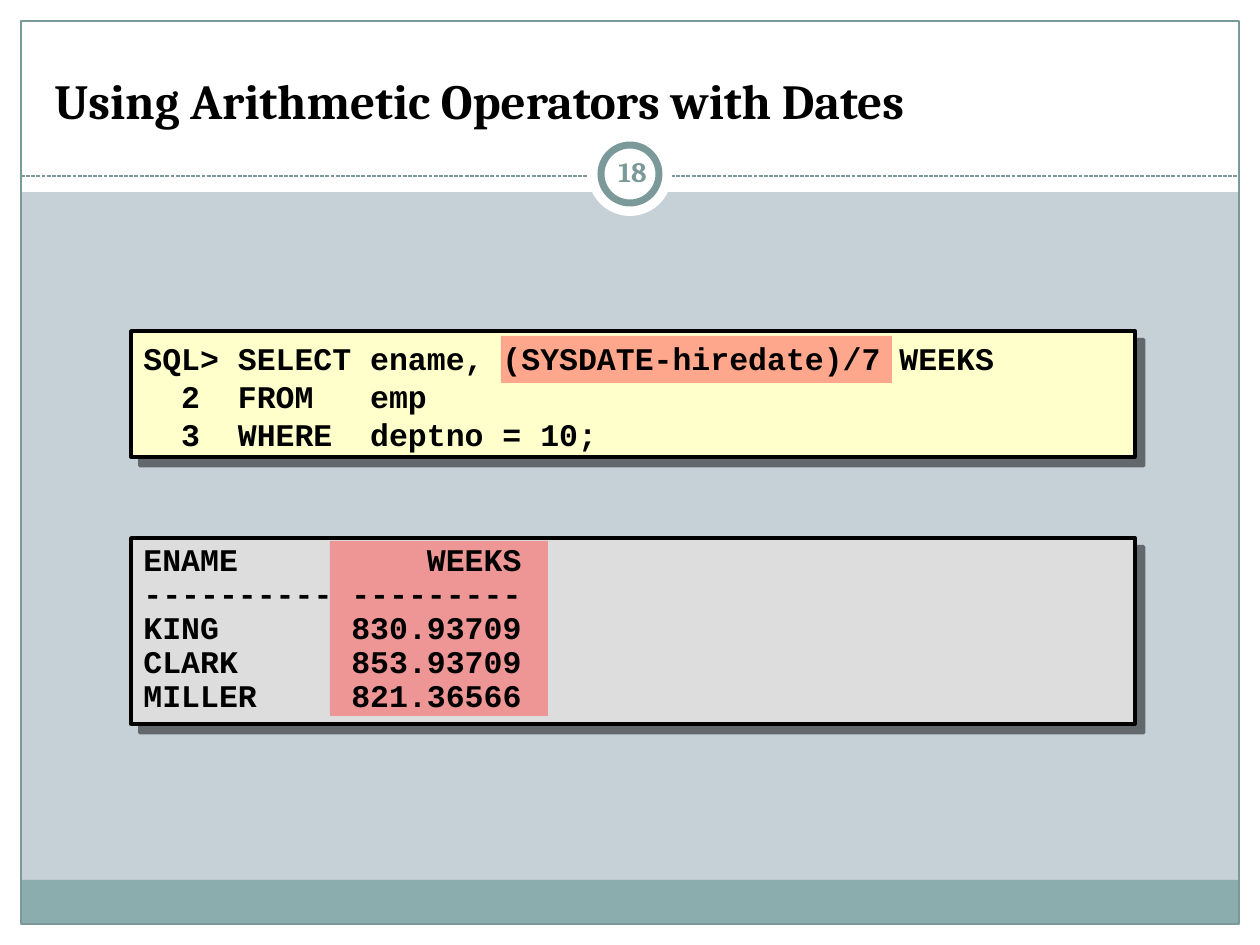
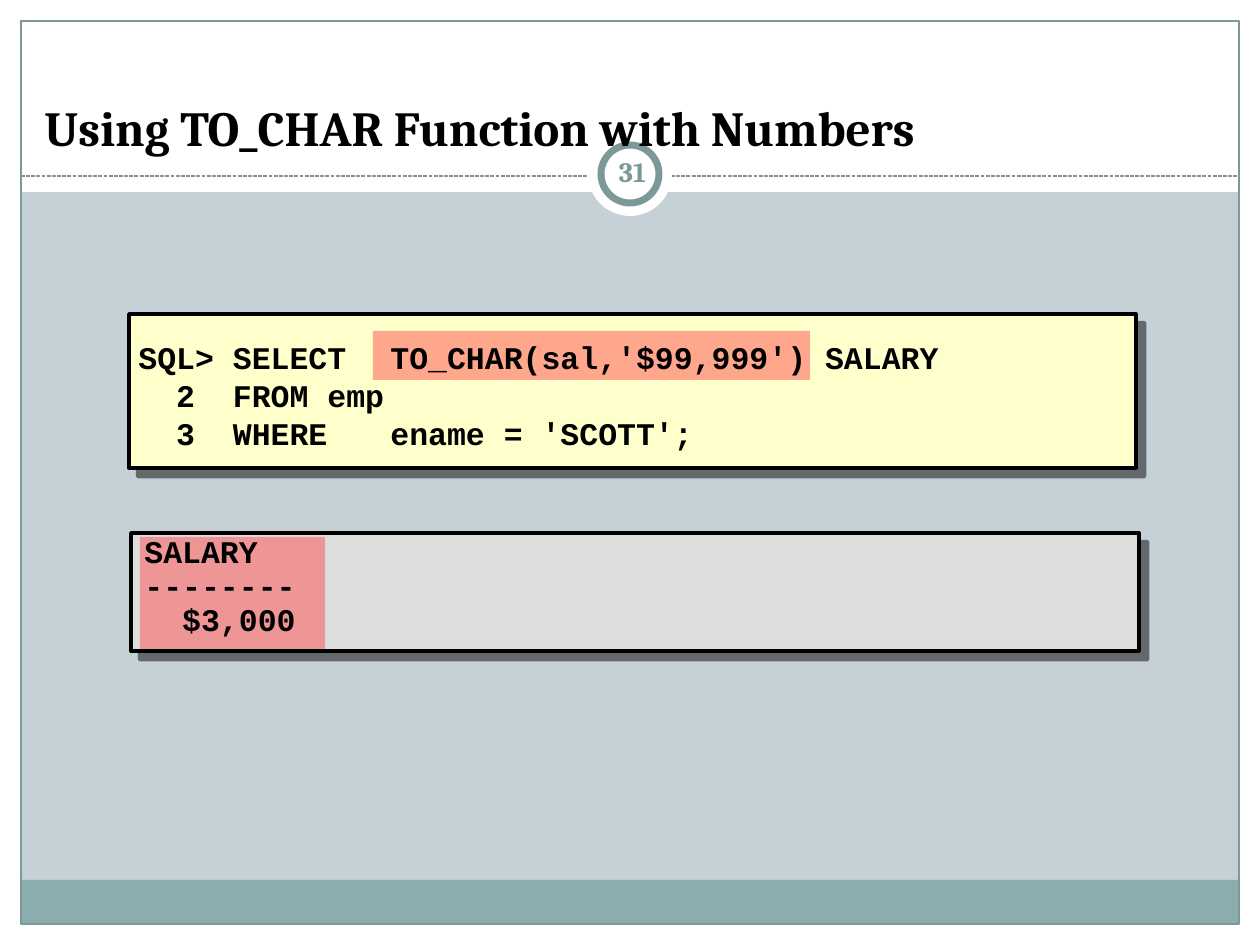
"""Build two SQL slides: a query and its result under a shared frame."""
from lxml.etree import SubElement as Sub
from pptx import Presentation
from pptx.dml.color import RGBColor
from pptx.enum.dml import MSO_LINE
from pptx.enum.shapes import MSO_CONNECTOR as Link, MSO_SHAPE as Kind
from pptx.enum.text import MSO_ANCHOR as Anchor, PP_ALIGN as Align
from pptx.oxml.ns import qn
from pptx.util import Pt

PX = 914400 // 126
WIDE, HIGH, EDGE = 1260, 945, 21
WHITE, BLACK, TEAL, BAND = "FFFFFF", "000000", "7C999A", "8CADAE"
BACK, CODE, ROWS, MARK = "C5D1D7", "FFFFCC", "DDDDDD", "FF5050"
SERIF, MONO = "Cambria", "Courier New"

SLIDES = [
    dict(
        title="Using Arithmetic Operators with Dates", page="18",
        head=(42, 32, 1176, 104),
        panels=[(131, 331, 1004, 126), (131, 538, 1004, 186)],
        marks=[(501, 336, 391, 47), (330, 541, 218, 175)],
        texts=[(131, 297, 1008, 198), (131, 538, 1004, 183)],
        query=["SQL> SELECT ename, (SYSDATE-hiredate)/7 WEEKS",
               "  2  FROM   emp",
               "  3  WHERE  deptno = 10;"],
        result=["ENAME          WEEKS",
                "---------- ---------",
                "KING       830.93709",
                "CLARK      853.93709",
                "MILLER     821.36566"]),
    dict(
        title="Using TO_CHAR Function with Numbers", page="31",
        head=(32, 42, 1065, 121),
        panels=[(129, 314, 1007, 154), (131, 533, 1008, 118)],
        marks=[(373, 331, 437, 49), (140, 537, 185, 112)],
        texts=[(126, 296, 1011, 198), (132, 530, 1000, 115)],
        query=["SQL> SELECT\tTO_CHAR(sal,'$99,999') SALARY",
               "  2  FROM\temp",
               "  3  WHERE\tename = 'SCOTT';"],
        result=["SALARY",
                "--------",
                "  $3,000"]),
]

BARS = [
    ((0, HIGH - EDGE, WIDE, EDGE), WHITE),
    ((0, 0, WIDE, 192), WHITE),
    ((0, 0, EDGE, HIGH), WHITE),
    ((WIDE - EDGE, 0, EDGE, HIGH), WHITE),
    ((EDGE, 880, WIDE - 2 * EDGE, 44), BAND),
]


def rgb(code):
    return RGBColor.from_string(code)


def emu(box):
    return [n * PX for n in box]


def shape(slide, box, fill=None, line=None, width=1, kind=Kind.RECTANGLE):
    item = slide.shapes.add_shape(kind, *emu(box))
    item.shadow.inherit = False
    if fill:
        item.fill.solid()
        item.fill.fore_color.rgb = rgb(fill)
    else:
        item.fill.background()
    if line:
        item.line.color.rgb = rgb(line)
        item.line.width = Pt(width)
    else:
        item.line.fill.background()
    return item


def fade(node):
    Sub(node, qn("a:alpha"), val="50000")


def panel(slide, box, fill):
    item = shape(slide, box, fill, BLACK, 2)
    fx = item._element.spPr.find(qn("a:effectLst"))
    drop = Sub(fx, qn("a:outerShdw"), dist=str(Pt(7.1)), dir="2700000",
               algn="ctr", rotWithShape="0")
    fade(Sub(drop, qn("a:srgbClr"), val=BLACK))


def mark(slide, box):
    item = shape(slide, box, MARK)
    fade(item._element.spPr.find(qn("a:solidFill"))[0])


def text(slide, box, lines, size, font, color=BLACK, anchor=Anchor.TOP,
         align=Align.LEFT, space=None, inset=None):
    frame = slide.shapes.add_textbox(*emu(box)).text_frame
    frame.word_wrap = True
    frame.vertical_anchor = anchor
    if inset is not None:
        frame.margin_left = frame.margin_right = inset * PX
    for i, line in enumerate(lines):
        para = frame.add_paragraph() if i else frame.paragraphs[0]
        para.alignment = align
        para.line_spacing = space
        run = para.add_run()
        run.text = line
        run.font.size, run.font.name, run.font.bold = Pt(size), font, True
        run.font.color.rgb = rgb(color)


def frame(slide):
    slide.background.fill.solid()
    slide.background.fill.fore_color.rgb = rgb(BACK)
    for box, fill in BARS:
        shape(slide, box, fill)
    shape(slide, (EDGE, EDGE, WIDE - 2 * EDGE, HIGH - 2 * EDGE), None, TEAL, 0.75)
    rule = slide.shapes.add_connector(
        Link.STRAIGHT, *emu((EDGE, 176, WIDE - EDGE, 176)))
    rule.line.color.rgb = rgb(TEAL)
    rule.line.width = Pt(0.75)
    rule.line.dash_style = MSO_LINE.SQUARE_DOT
    Sub(rule._element.spPr, qn("a:effectLst"))
    shape(slide, (588, 132, 84, 84), WHITE, kind=Kind.OVAL)
    shape(slide, (601, 145, 58, 58), WHITE, TEAL, 4, Kind.OVAL)


def build(slide, data):
    frame(slide)
    for box, fill in zip(data["panels"], (CODE, ROWS)):
        panel(slide, box, fill)
    text(slide, data["head"], [data["title"]], 28, SERIF, anchor=Anchor.BOTTOM)
    for box in data["marks"]:
        mark(slide, box)
    top, low = data["texts"]
    text(slide, top, data["query"], 18, MONO, anchor=Anchor.MIDDLE)
    text(slide, low, data["result"], 18, MONO, space=0.9)
    text(slide, (601, 141, 63, 60), [data["page"]], 16, SERIF, TEAL,
         Anchor.MIDDLE, Align.CENTER, inset=6)


def main():
    deck = Presentation()
    deck.slide_width, deck.slide_height = emu((WIDE, HIGH))
    for data in SLIDES:
        build(deck.slides.add_slide(deck.slide_layouts[6]), data)
    deck.save("out.pptx")


if __name__ == "__main__":
    main()
